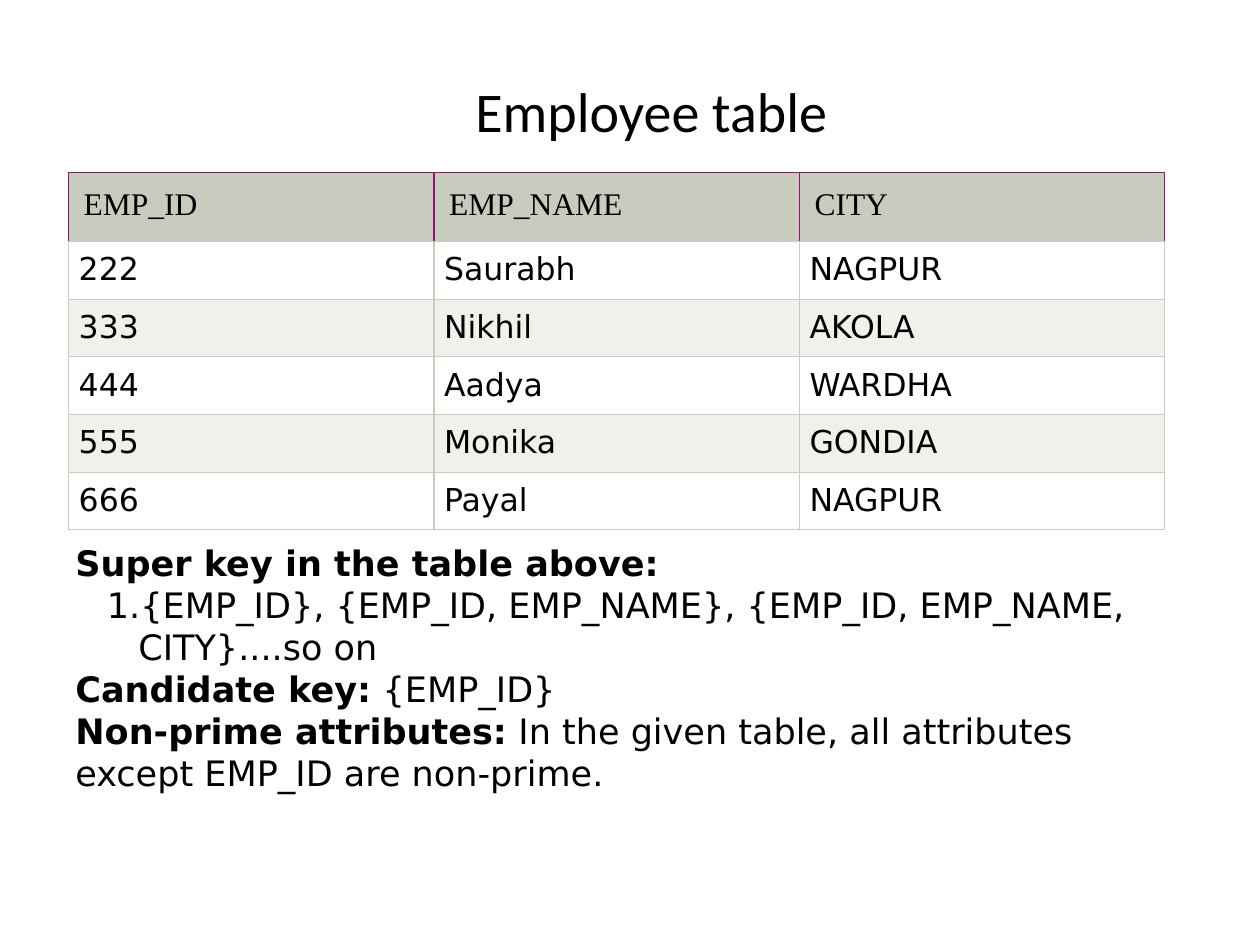
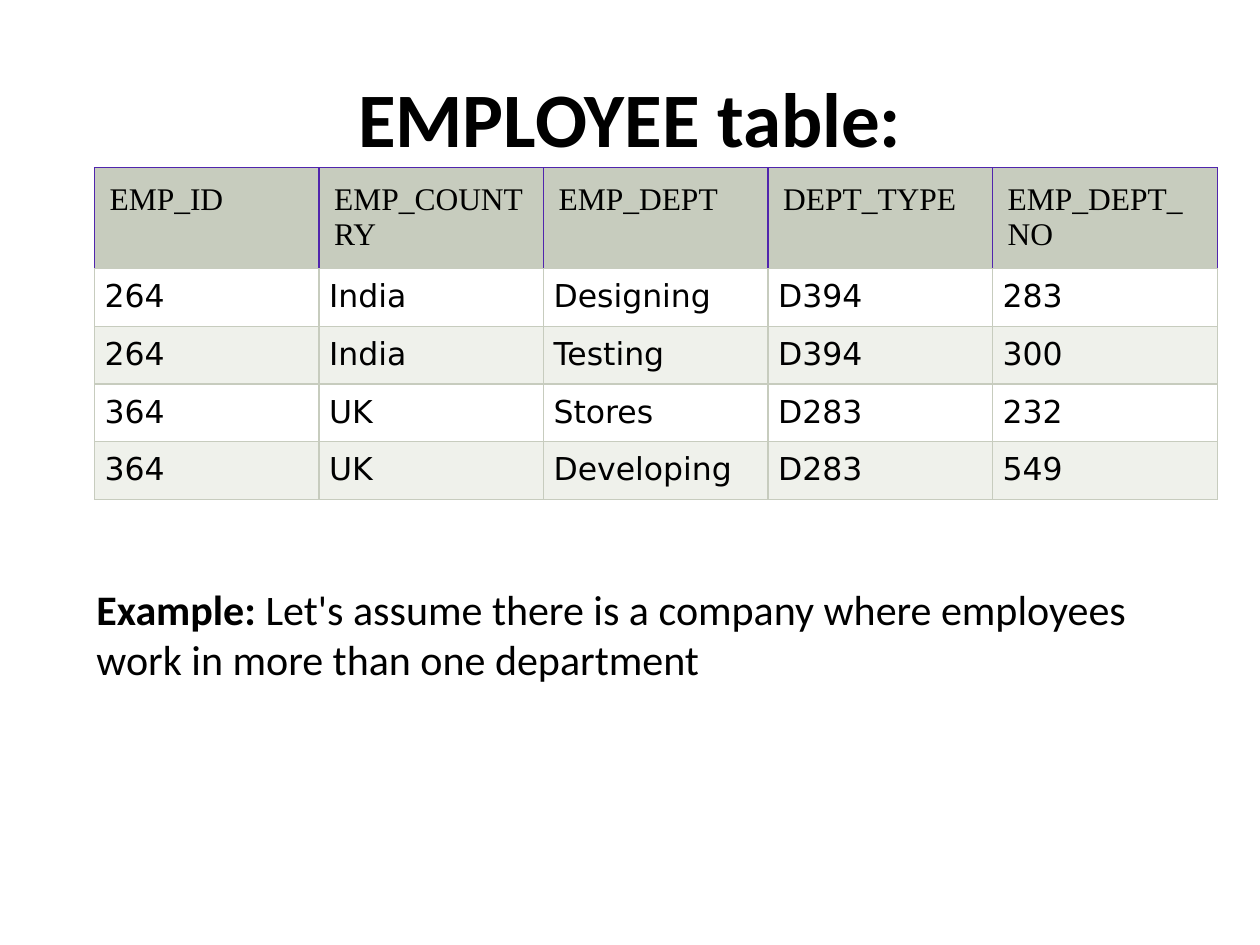
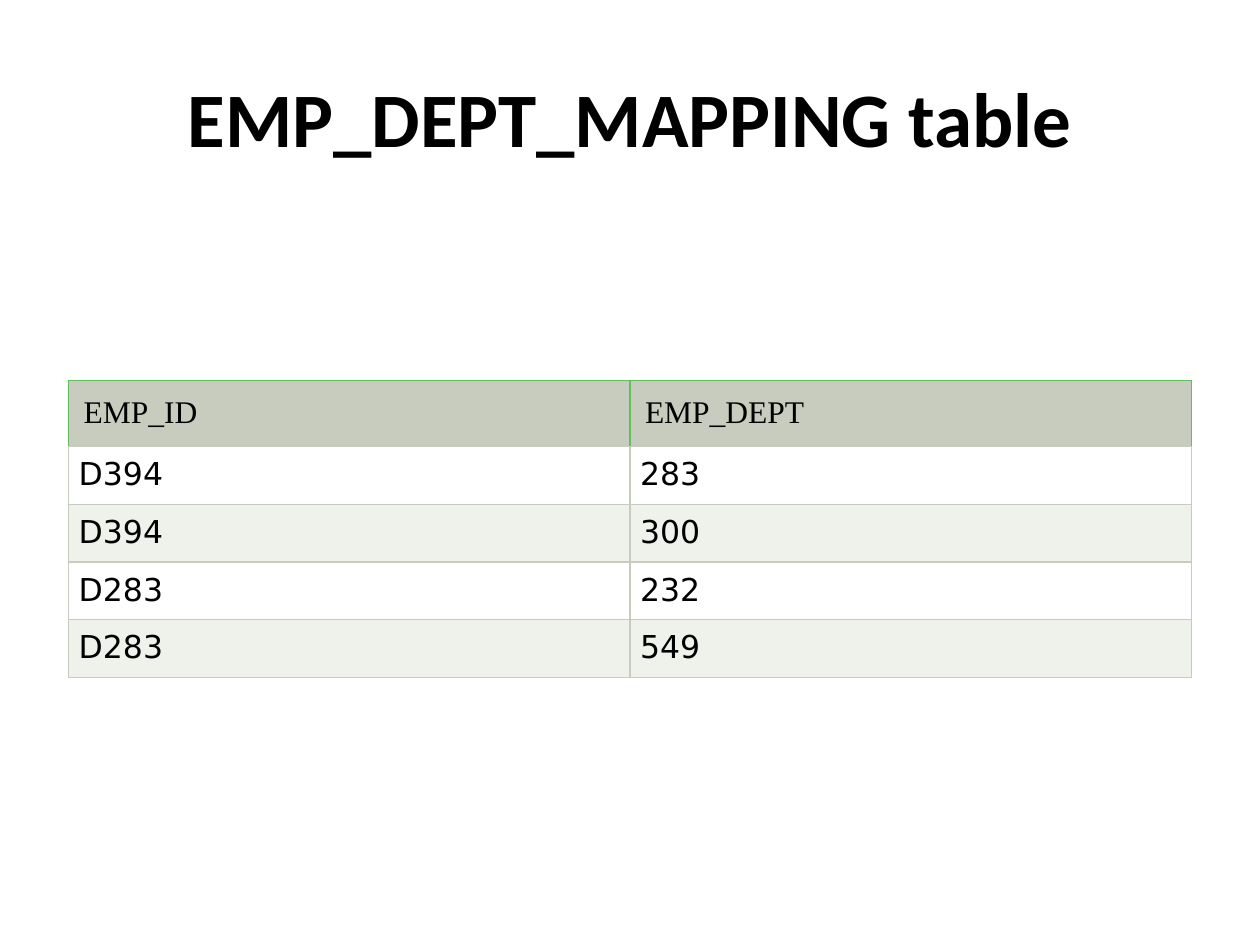
import pptx
import pptx.dml.color
import pptx.enum.text
import pptx.oxml
import pptx.oxml.ns
import pptx.util
from lxml import etree

# Shared style
SLIDE_WIDTH = pptx.util.Inches(10)
SLIDE_HEIGHT = pptx.util.Inches(7.5)
TITLE_ONLY = 5
INK, WHITE, SAGE, PALE_SAGE = "000000", "FFFFFF", "C7CCBE", "EFF1EB"
TITLE_FONT, HEADER_FONT, BODY_FONT = "Calibri", "Times New Roman", "DejaVu Sans"
TITLE_AREA = (5, 4, 90, 16.67)
BODY_ROW = 6.1
BORDER_WIDTH = 0.75


def across(percent):
    return round(SLIDE_WIDTH * percent / 100)


def down(percent):
    return round(SLIDE_HEIGHT * percent / 100)


def place(area):
    """Turn percentages of the slide into left, top, width, height."""
    left, top, width, height = area
    return across(left), down(top), across(width), down(height)


def rgb(color):
    return pptx.dml.color.RGBColor.from_string(color)


def number_paragraph(paragraph):
    """Number a paragraph with a hanging indent."""
    paragraph.level = 1
    properties = paragraph._p.get_or_add_pPr()
    properties.set("marL", str(pptx.util.Inches(0.5)))
    properties.set("indent", str(pptx.util.Inches(-0.25)))
    etree.SubElement(properties, pptx.oxml.ns.qn("a:buAutoNum"), type="arabicPeriod")


def write_text(frame, paragraphs, font=BODY_FONT, size=18, color=INK,
               align=None, numbered=()):
    """Fill a frame; each paragraph is a list of (text, bold) runs."""
    frame.word_wrap = True
    for index, runs in enumerate(paragraphs):
        paragraph = frame.add_paragraph() if index else frame.paragraphs[0]
        if index in numbered:
            number_paragraph(paragraph)
        if align is not None:
            paragraph.alignment = align
        for text, bold in runs:
            run = paragraph.add_run()
            run.text = text
            run.font.name = font
            run.font.size = pptx.util.Pt(size)
            run.font.bold = bold
            run.font.color.rgb = rgb(color)


def add_titled_slide(deck, title, area=TITLE_AREA, size=44, bold=True):
    slide = deck.slides.add_slide(deck.slide_layouts[TITLE_ONLY])
    heading = slide.shapes.title
    heading.left, heading.top, heading.width, heading.height = place(area)
    heading.text_frame.vertical_anchor = pptx.enum.text.MSO_ANCHOR.MIDDLE
    write_text(heading.text_frame, [[(title, bold)]], font=TITLE_FONT, size=size,
               align=pptx.enum.text.PP_ALIGN.CENTER)
    return slide


def set_borders(cell, side_color, bottom_color):
    properties = cell._tc.get_or_add_tcPr()
    borders = {"lnL": side_color, "lnR": side_color, "lnT": side_color, "lnB": bottom_color}
    for position, (edge, color) in enumerate(borders.items()):
        properties.insert(position, pptx.oxml.parse_xml(
            f'<a:{edge} {pptx.oxml.ns.nsdecls("a")} w="{pptx.util.Pt(BORDER_WIDTH)}">'
            f'<a:solidFill><a:srgbClr val="{color}"/></a:solidFill></a:{edge}>'))


def style_cell(cell, text, fill, inset, font, edge):
    margin = pptx.util.Inches(inset)
    cell.margin_left = cell.margin_right = margin
    cell.margin_top = cell.margin_bottom = margin
    cell.fill.solid()
    cell.fill.fore_color.rgb = rgb(fill)
    write_text(cell.text_frame, [[(text, False)]], font=font)
    set_borders(cell, edge, SAGE)


def add_records(slide, records, left, top, width, header_height, accent):
    """Add a table: an accented header row, then banded records."""
    row_count, column_count = len(records), len(records[0])
    height = header_height + BODY_ROW * (row_count - 1)
    table = slide.shapes.add_table(row_count, column_count,
                                   *place((left, top, width, height))).table
    for column in table.columns:
        column.width = across(width / column_count)
    for index, record in enumerate(records):
        is_header = index == 0
        table.rows[index].height = down(header_height if is_header else BODY_ROW)
        for cell, text in zip(table.rows[index].cells, record):
            if is_header:
                style_cell(cell, text, SAGE, 0.12, HEADER_FONT, accent)
            else:
                band = WHITE if index % 2 else PALE_SAGE
                style_cell(cell, text, band, 0.08, BODY_FONT, SAGE)


def add_notes_box(slide, area, paragraphs, **text_format):
    box = slide.shapes.add_textbox(*place(area))
    write_text(box.text_frame, paragraphs, **text_format)


def main():
    deck = pptx.Presentation()
    deck.slide_width, deck.slide_height = SLIDE_WIDTH, SLIDE_HEIGHT

    # Keys of the employee table
    keys = add_titled_slide(deck, "Employee table", (6.7, 3.33, 90, 16.67), 32, False)
    add_records(keys, [
        ("EMP_ID", "EMP_NAME", "CITY"),
        ("222", "Saurabh", "NAGPUR"),
        ("333", "Nikhil", "AKOLA"),
        ("444", "Aadya", "WARDHA"),
        ("555", "Monika", "GONDIA"),
        ("666", "Payal", "NAGPUR"),
    ], 5.45, 18.27, 87, 7.3, "90176B")
    add_notes_box(keys, (5, 56.67, 87.5, 32.8), [
        [("Super key in the table above:", True)],
        [("{EMP_ID}, {EMP_ID, EMP_NAME}, {EMP_ID, EMP_NAME, CITY}....so on", False)],
        [("Candidate key:", True), (" {EMP_ID}", False)],
        [("Non-prime attributes:", True),
         (" In the given table, all attributes except EMP_ID are non-prime.", False)],
    ], size=20, numbered=(1,))

    # Employees and their departments
    departments = add_titled_slide(deck, "EMPLOYEE table:")
    add_records(departments, [
        ("EMP_ID", "EMP_COUNTRY", "EMP_DEPT", "DEPT_TYPE", "EMP_DEPT_NO"),
        ("264", "India", "Designing", "D394", "283"),
        ("264", "India", "Testing", "D394", "300"),
        ("364", "UK", "Stores", "D283", "232"),
        ("364", "UK", "Developing", "D283", "549"),
    ], 7.5, 17.73, 89.1, 10.7, "5025AD")
    add_notes_box(departments, (6.67, 61.07, 88.3, 12.13), [
        [("Example:", True),
         (" Let's assume there is a company where employees work in more than one department",
          False)],
    ], font=TITLE_FONT, size=24)

    # Department mapping
    mapping = add_titled_slide(deck, "EMP_DEPT_MAPPING table")
    add_records(mapping, [
        ("EMP_ID", "EMP_DEPT"),
        ("D394", "283"),
        ("D394", "300"),
        ("D283", "232"),
        ("D283", "549"),
    ], 5.45, 40.27, 89.1, 7, "60BF5C")

    deck.save("out.pptx")


if __name__ == "__main__":
    main()
